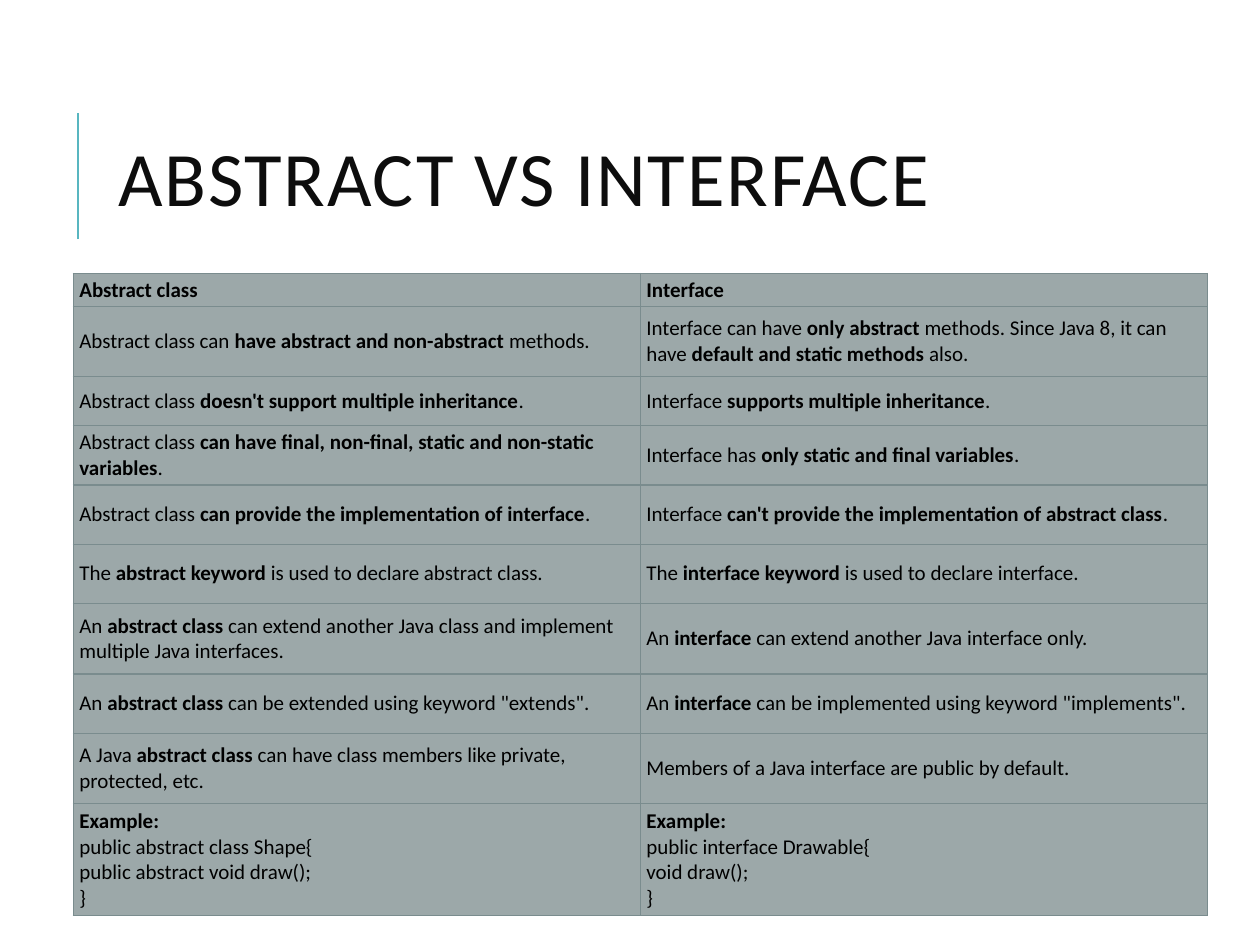
from lxml import etree
from pptx import Presentation, util as u
from pptx.dml.color import RGBColor
from pptx.enum import shapes, text
from pptx.oxml.ns import qn

COLORS = {"accent": "58B6C0", "title": "0D0D0D", "body": "000000",
          "cell": "9CA8A9", "border": "7A8C8E"}
FONT = "Calibri"
WIDTH, HEIGHT = u.Inches(10), u.Inches(7.5)
COLUMNS = [4.5, 4.5]
ROW_HEIGHTS = [0.26, 0.56, 0.39, 0.47, 0.47, 0.47, 0.56, 0.47, 0.56, 0.89]

# Asterisk pairs enclose bold words; each line of a cell is a paragraph.
COMPARISON = [
    ("**Abstract class**", "**Interface**"),
    ("Abstract class can **have abstract and non-abstract** methods.",
     "Interface can have **only abstract** methods. Since Java 8, it can have "
     "**default and static methods** also."),
    ("Abstract class **doesn't support multiple inheritance**.",
     "Interface **supports multiple inheritance**."),
    ("Abstract class **can have final, non-final, static and non-static variables**.",
     "Interface has **only static and final variables**."),
    ("Abstract class **can provide the implementation of interface**.",
     "Interface **can't provide the implementation of abstract class**."),
    ("The **abstract keyword** is used to declare abstract class.",
     "The **interface keyword** is used to declare interface."),
    ("An **abstract class** can extend another Java class and implement "
     "multiple Java interfaces.",
     "An **interface** can extend another Java interface only."),
    ('An **abstract class** can be extended using keyword "extends".',
     'An **interface** can be implemented using keyword "implements".'),
    ("A Java **abstract class** can have class members like private, protected, etc.",
     "Members of a Java interface are public by default."),
    ("**Example:**\npublic abstract class Shape{\npublic abstract void draw();\n}",
     "**Example:**\npublic interface Drawable{\nvoid draw();\n}"),
]


def color(name):
    return RGBColor.from_string(COLORS[name])


def add_span(para, words, size, ink, bold=False):
    span = para.add_run()
    span.text = words
    span.font.name, span.font.size, span.font.bold = FONT, u.Pt(size), bold
    span.font.color.rgb = color(ink)
    return span


def add_accent_line(page):
    x = int(WIDTH * 0.062)
    line = page.shapes.add_connector(shapes.MSO_CONNECTOR.STRAIGHT, x,
                                     int(HEIGHT * 0.253), x, int(HEIGHT * 0.12))
    line.line.color.rgb = color("accent")
    line.line.width = u.Pt(1.5)
    etree.SubElement(line._element.spPr, qn("a:effectLst"))


def add_title(page, words):
    box = page.shapes.add_textbox(u.Inches(0.84), u.Inches(0.64),
                                  u.Inches(7.97), u.Inches(1.64))
    frame = box.text_frame
    frame.word_wrap = True
    frame.vertical_anchor = text.MSO_ANCHOR.MIDDLE
    para = frame.paragraphs[0]
    para.line_spacing = 0.8
    span = add_span(para, words, 44, "title")
    span.font._element.set("spc", "100")


def add_borders(cell):
    """Put the four edges ahead of the cell's fill, as the schema orders them."""
    properties = cell._tc.get_or_add_tcPr()
    for place, side in enumerate(("lnL", "lnR", "lnT", "lnB")):
        edge = etree.Element(qn(f"a:{side}"), w=str(u.Pt(0.75)))
        fill = etree.SubElement(edge, qn("a:solidFill"))
        etree.SubElement(fill, qn("a:srgbClr"), val=COLORS["border"])
        properties.insert(place, edge)


def fill_cell(cell, content):
    cell.fill.solid()
    cell.fill.fore_color.rgb = color("cell")
    cell.vertical_anchor = text.MSO_ANCHOR.MIDDLE
    cell.margin_left = cell.margin_right = u.Inches(0.05)
    cell.margin_top = cell.margin_bottom = u.Inches(0.03)
    add_borders(cell)
    frame = cell.text_frame
    for number, line in enumerate(content.split("\n")):
        para = frame.add_paragraph() if number else frame.paragraphs[0]
        for part, words in enumerate(line.split("**")):
            if words:
                add_span(para, words, 12, "body", bold=part % 2 == 1)


def add_comparison(page):
    frame = page.shapes.add_table(len(COMPARISON), len(COLUMNS),
                                  u.Inches(0.58), u.Inches(2.17),
                                  u.Inches(sum(COLUMNS)), u.Inches(sum(ROW_HEIGHTS)))
    table = frame.table
    table.first_row = table.horz_banding = False
    for column, width in zip(table.columns, COLUMNS):
        column.width = u.Inches(width)
    for row, height, contents in zip(table.rows, ROW_HEIGHTS, COMPARISON):
        row.height = u.Inches(height)
        for cell, content in zip(row.cells, contents):
            fill_cell(cell, content)


def main():
    deck = Presentation()
    deck.slide_width, deck.slide_height = WIDTH, HEIGHT
    page = deck.slides.add_slide(deck.slide_layouts[6])
    add_accent_line(page)
    add_title(page, "ABSTRACT VS INTERFACE")
    add_comparison(page)
    deck.save("out.pptx")


if __name__ == "__main__":
    main()
